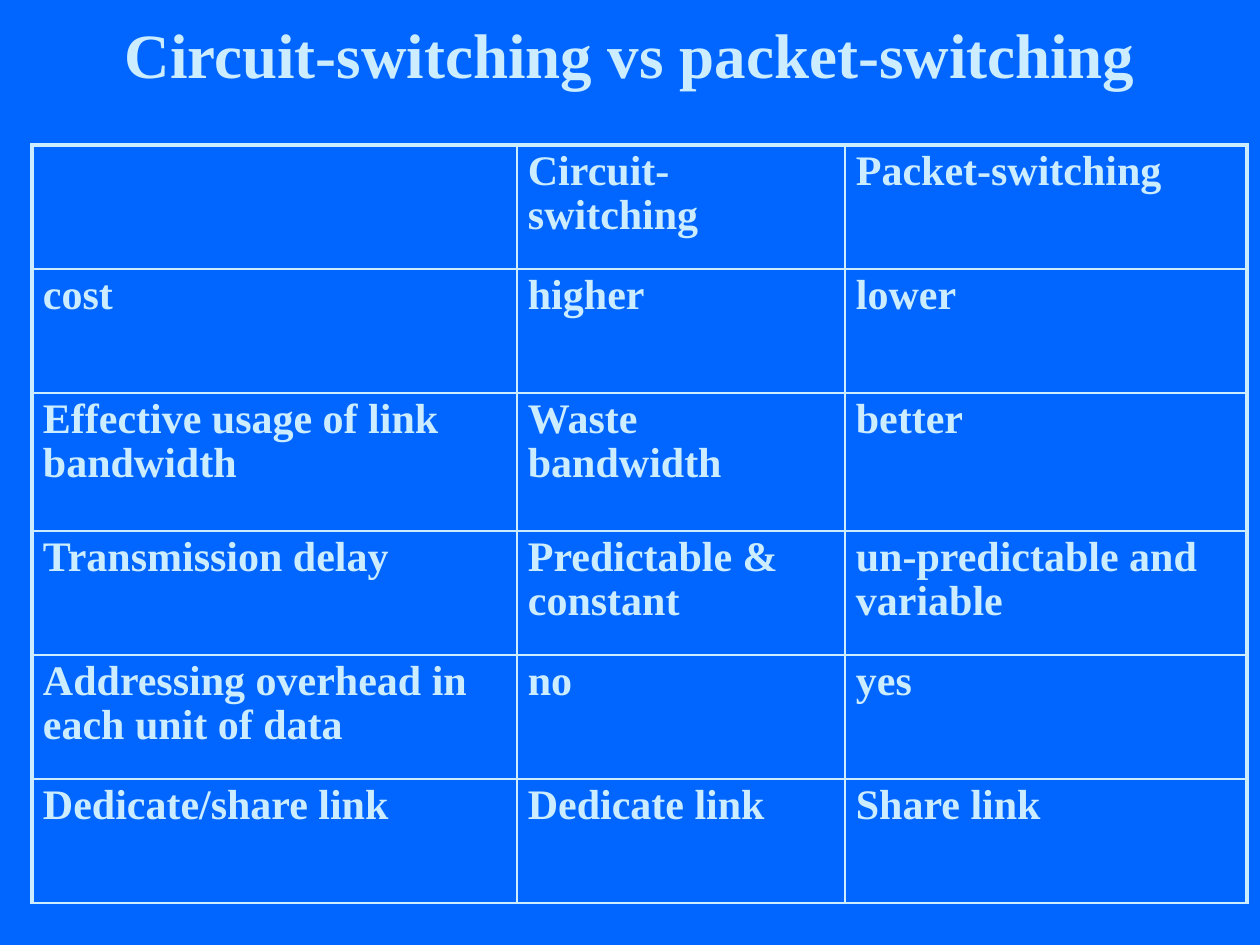
from dataclasses import dataclass

from lxml.etree import SubElement
from pptx import Presentation
from pptx.dml.color import RGBColor
from pptx.enum.text import MSO_ANCHOR as Anchor, MSO_AUTO_SIZE as AutoSize, PP_ALIGN as Align
from pptx.oxml.ns import qn
from pptx.util import Emu, Pt

PX_PER_INCH = 126
BLUE = RGBColor(0x00, 0x66, 0xFF)
PALE_BLUE = RGBColor(0xCC, 0xEC, 0xFF)
FONT = "Times New Roman"
INNER_BORDER, OUTER_BORDER = Pt(1), Pt(2.25)
INSET_X, INSET_Y = 11, 5
TABLE_LEFT, TABLE_TOP = 32, 145
COLUMN_WIDTHS = (485, 328, 402)


@dataclass(frozen=True)
class ComparisonRow:
    topic: str
    circuit: str
    packet: str
    height: int = 124


ROWS = (
    ComparisonRow("", "Circuit-switching", "Packet-switching"),
    ComparisonRow("cost", "higher", "lower"),
    ComparisonRow("Effective usage of link bandwidth", "Waste bandwidth", "better", 138),
    ComparisonRow("Transmission delay", "Predictable & constant", "un-predictable and variable"),
    ComparisonRow("Addressing overhead in each unit of data", "no", "yes"),
    ComparisonRow("Dedicate/share link", "Dedicate link", "Share link"),
)


def px(length: int) -> Emu:
    return Emu(round(length * 914400 / PX_PER_INCH))


def set_margins(target) -> None:
    """Give a text frame or a table cell the common insets."""
    target.margin_left = target.margin_right = px(INSET_X)
    target.margin_top = target.margin_bottom = px(INSET_Y)


def write_text(frame, text: str, *, size: int, align=Align.LEFT, line_spacing: float = 1.0) -> None:
    paragraph = frame.paragraphs[0]
    paragraph.alignment = align
    paragraph.line_spacing = line_spacing
    font = paragraph.font
    if text:
        run = paragraph.add_run()
        run.text = text
        font = run.font
    font.name, font.size, font.bold = FONT, Pt(size), True
    font.color.rgb = PALE_BLUE


def add_border(cell, side: str, width: int) -> None:
    properties = cell._tc.get_or_add_tcPr()
    line = SubElement(properties, qn(f"a:ln{side}"), w=str(width))
    fill = SubElement(line, qn("a:solidFill"))
    SubElement(fill, qn("a:srgbClr"), val=str(PALE_BLUE))


def add_title(slide, text: str) -> None:
    title = slide.shapes.title
    title.left, title.top, title.width, title.height = px(0), px(24), px(1260), px(72)
    frame = title.text_frame
    frame.auto_size = AutoSize.NONE
    frame.word_wrap = True
    frame.vertical_anchor = Anchor.BOTTOM
    set_margins(frame)
    write_text(frame, text, size=36, align=Align.CENTER)


def add_comparison_table(slide, rows: tuple[ComparisonRow, ...]) -> None:
    last_column = len(COLUMN_WIDTHS) - 1
    table = slide.shapes.add_table(
        len(rows), len(COLUMN_WIDTHS), px(TABLE_LEFT), px(TABLE_TOP),
        px(sum(COLUMN_WIDTHS)), px(sum(row.height for row in rows)),
    ).table
    table.first_row = table.horz_banding = False
    for column, width in zip(table.columns, COLUMN_WIDTHS):
        column.width = px(width)
    for row_index, row in enumerate(rows):
        table.rows[row_index].height = px(row.height)
        for column_index, text in enumerate((row.topic, row.circuit, row.packet)):
            cell = table.cell(row_index, column_index)
            set_margins(cell)
            write_text(cell.text_frame, text, size=24, line_spacing=0.95)
            outer_sides = {"L": column_index == 0, "R": column_index == last_column,
                           "T": row_index == 0, "B": False}
            for side, is_outer in outer_sides.items():
                add_border(cell, side, OUTER_BORDER if is_outer else INNER_BORDER)
            cell.fill.background()


def main() -> None:
    presentation = Presentation()
    presentation.slide_width, presentation.slide_height = px(1260), px(945)
    slide = presentation.slides.add_slide(presentation.slide_layouts[5])
    slide.background.fill.solid()
    slide.background.fill.fore_color.rgb = BLUE
    add_title(slide, "Circuit-switching vs packet-switching")
    add_comparison_table(slide, ROWS)
    presentation.save("out.pptx")


if __name__ == "__main__":
    main()
